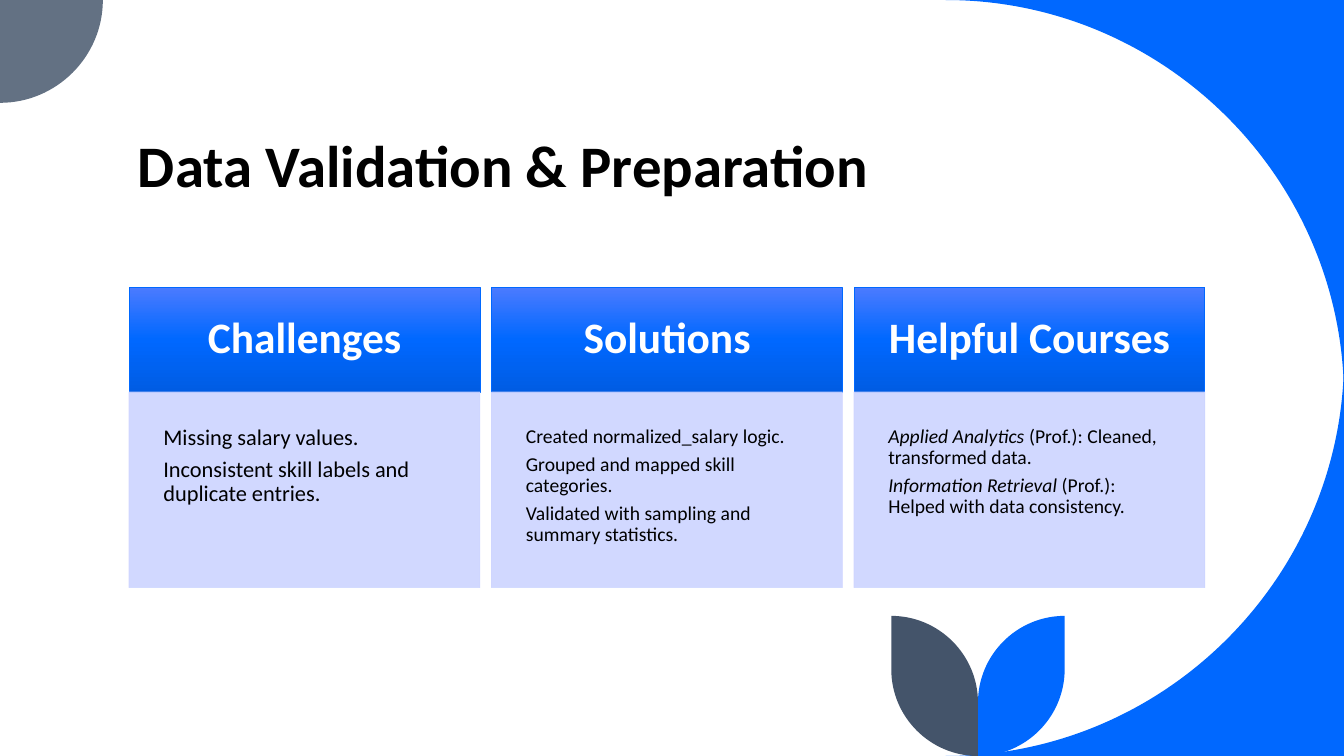
from copy import deepcopy

from lxml.etree import SubElement
from pptx import Presentation
from pptx.dml.color import RGBColor
from pptx.enum.shapes import MSO_SHAPE
from pptx.enum.text import MSO_ANCHOR, PP_ALIGN
from pptx.oxml.ns import qn
from pptx.util import Inches, Pt

THEME = {
    "font": "Calibri",
    "ink": RGBColor.from_string("000000"),
    "white": RGBColor.from_string("FFFFFF"),
    "blue": RGBColor.from_string("0068FF"),
    "slate": RGBColor.from_string("44546A"),
    "grey": RGBColor.from_string("637183"),
    "panel": RGBColor.from_string("CCD4FF"),
    "header_gradient": ["4B7BFF", "0068FF", "005CE3"],
    "title": 42,
    "heading": 31,
    "body": 16,
    "body_small": 14,
}
W, H = 13.33, 7.5


def write(shape, paragraphs, size, color=THEME["ink"], bold=False, inset=0.1,
          align=PP_ALIGN.LEFT, anchor=MSO_ANCHOR.TOP, leading=0.9, after=0.35):
    """Fill a shape with paragraphs, each a list of (text, italic) runs."""
    frame = shape.text_frame
    frame.word_wrap = True
    frame.vertical_anchor = anchor
    frame.margin_left = frame.margin_right = Inches(inset)
    frame.margin_top = frame.margin_bottom = Inches(inset)
    for number, runs in enumerate(paragraphs):
        paragraph = frame.paragraphs[0] if number == 0 else frame.add_paragraph()
        paragraph.alignment = align
        paragraph.line_spacing = leading
        paragraph.space_after = Pt(round(size * after, 1))
        for text, italic in runs:
            run = paragraph.add_run()
            run.text = text
            run.font.name = THEME["font"]
            run.font.size = Pt(size)
            run.font.bold = bold
            run.font.italic = italic
            run.font.color.rgb = color


def quarter(start, corner, end):
    """Bezier points of a quarter circle that bulges towards the corner."""
    toward = [tuple(p + 0.55 * (c - p) for p, c in zip(point, corner))
              for point in (start, end)]
    return toward + [end]


presentation = Presentation()
presentation.slide_width, presentation.slide_height = Inches(W), Inches(H)
slide = presentation.slides.add_slide(presentation.slide_layouts[6])

# Corner curves and disc: each outline is a start, then lines (1 point) or curves (3)
sweep, disc = 3.95, 1.02
inner = W - sweep
decorations = [
    (THEME["blue"], (W, 0),
     [[(inner, 0)], quarter((inner, 0), (W, 0), (W, sweep))]),
    (THEME["blue"], (W, H - sweep),
     [quarter((W, H - sweep), (W, H), (inner, H)), [(W, H)]]),
    (THEME["grey"], (0, 0),
     [[(disc, 0)], quarter((disc, 0), (disc, disc), (0, disc))]),
]

# Two leaves, mirrored about their stem
stem, leaf, leaf_top = 9.7, 0.86, 6.11
for color, tip in ((THEME["blue"], stem + leaf), (THEME["slate"], stem - leaf)):
    outer, base = (tip, H - leaf), (stem, leaf_top + leaf)
    decorations.append((color, (tip, leaf_top), [
        [outer], quarter(outer, (tip, H), (stem, H)),
        [base], quarter(base, (stem, leaf_top), (tip, leaf_top)),
    ]))

for color, start, segments in decorations:
    to_emu = [[(Inches(x), Inches(y)) for x, y in segment] for segment in segments]
    builder = slide.shapes.build_freeform(Inches(start[0]), Inches(start[1]))
    builder.add_line_segments(sum(to_emu, []), close=True)
    decoration = builder.convert_to_shape()
    # Join every group of three points into one curve
    steps = iter(list(decoration.element.spPr.iter(qn("a:lnTo"))))
    for segment in segments:
        group = [next(steps) for point in segment]
        if len(group) == 3:
            curve = SubElement(group[0].getparent(), qn("a:cubicBezTo"))
            group[0].addprevious(curve)
            for step in group:
                curve.append(step[0])
                step.getparent().remove(step)
    decoration.shadow.inherit = False
    decoration.fill.solid()
    decoration.fill.fore_color.rgb = color
    decoration.line.fill.background()

# Title
title = slide.shapes.add_textbox(Inches(1.27), Inches(0.11), Inches(10.69), Inches(1.91))
write(title, [[("Data Validation & Preparation", False)]], THEME["title"], bold=True,
      anchor=MSO_ANCHOR.BOTTOM, leading=0.8, after=0)
title.text_frame.margin_bottom = Inches(0.05)

# Three columns, each a heading over a panel
topics = [
    ("Challenges", THEME["body"], [
        [("Missing salary values.", False)],
        [("Inconsistent skill labels and duplicate entries.", False)],
    ]),
    ("Solutions", THEME["body_small"], [
        [("Created normalized_salary logic.", False)],
        [("Grouped and mapped skill categories.", False)],
        [("Validated with sampling and summary statistics.", False)],
    ]),
    ("Helpful Courses", THEME["body_small"], [
        [("Applied Analytics ", True), ("(Prof.): Cleaned, transformed data.", False)],
        [("Information Retrieval", True),
         (" (Prof.): Helped with data consistency.", False)],
    ]),
]
board_left, board_top, board_width = 1.28, 2.85, 10.67
column_width, heading_height, panel_height = 3.48, 1.04, 1.94
pitch = (board_width - column_width) / (len(topics) - 1)

for column, (name, body_size, points) in enumerate(topics):
    left = Inches(board_left + column * pitch)
    heading = slide.shapes.add_shape(MSO_SHAPE.RECTANGLE, left, Inches(board_top),
                                     Inches(column_width), Inches(heading_height))
    panel = slide.shapes.add_shape(MSO_SHAPE.RECTANGLE, left,
                                   Inches(board_top + heading_height),
                                   Inches(column_width), Inches(panel_height))
    for box, line_color in ((heading, THEME["blue"]), (panel, THEME["panel"])):
        box.shadow.inherit = False
        box.line.color.rgb = line_color
        box.line.width = Pt(0.5)

    # Heading: three-stop gradient from top to bottom
    heading.fill.gradient()
    heading.fill.gradient_angle = 270
    stop_list = heading.element.spPr.find(".//" + qn("a:gsLst"))
    stop_list.append(deepcopy(stop_list[0]))
    for i, stop in enumerate(heading.fill.gradient_stops):
        stop.position = i / 2
        stop.color.rgb = RGBColor.from_string(THEME["header_gradient"][i])
    write(heading, [[(name, False)]], THEME["heading"], color=THEME["white"], bold=True,
          inset=0.27, align=PP_ALIGN.CENTER, anchor=MSO_ANCHOR.MIDDLE)

    # Panel: fill and outline at 90 % opacity
    panel.fill.solid()
    panel.fill.fore_color.rgb = THEME["panel"]
    for tint in panel.element.spPr.iter(qn("a:srgbClr")):
        SubElement(tint, qn("a:alpha")).set("val", "90000")
    write(panel, points, body_size, inset=0.34)

presentation.save("out.pptx")
